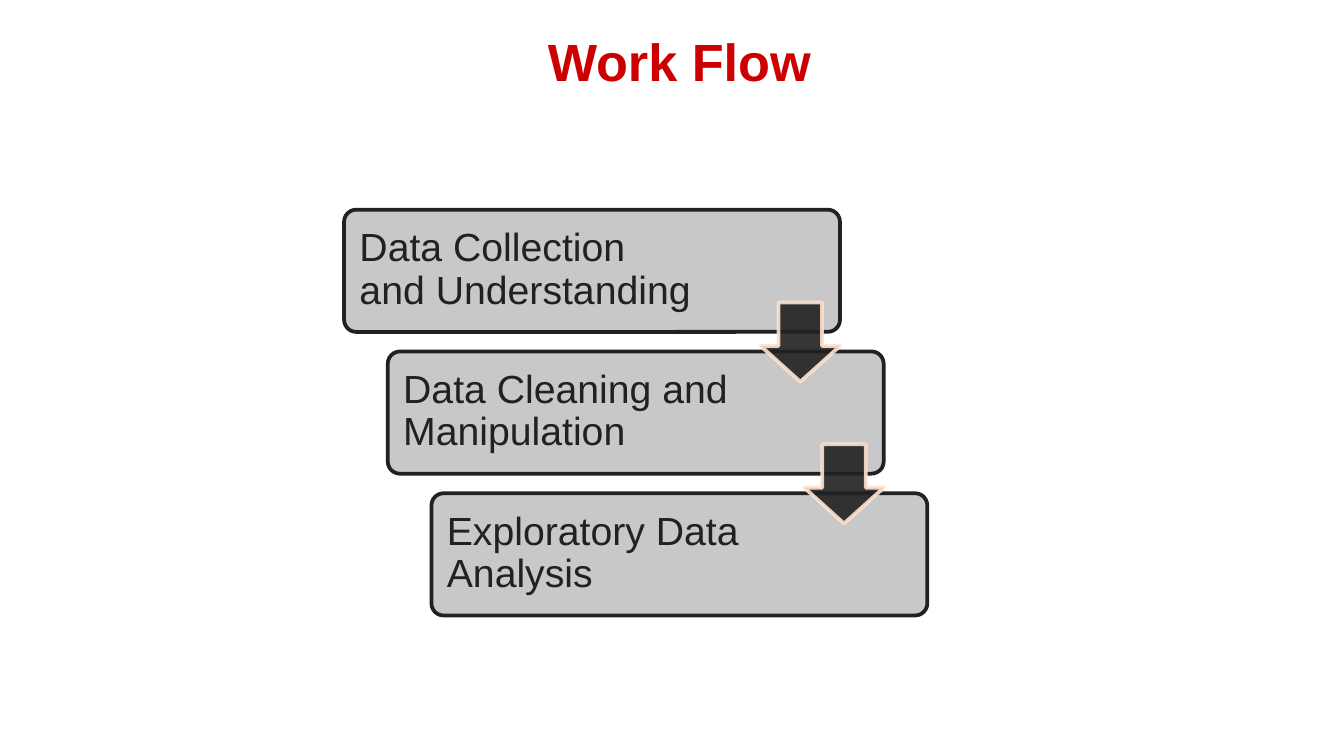
from dataclasses import dataclass

from lxml.etree import SubElement
from pptx import Presentation
from pptx.dml.color import RGBColor
from pptx.enum.shapes import MSO_SHAPE as Shape
from pptx.enum.text import MSO_ANCHOR as Anchor, PP_ALIGN as Align
from pptx.oxml.ns import qn
from pptx.util import Pt

EMU_PER_PX = 4572


@dataclass(frozen=True)
class Theme:
    font: str = "Arial"
    heading: str = "CC0000"
    ink: str = "212121"
    panel: str = "C8C8C8"
    arrow_edge: str = "FFE2CF"
    heading_size: int = 28
    step_size: int = 21
    line_width: int = 2
    arrow_opacity: int = 90


def px(*lengths):
    return [length * EMU_PER_PX for length in lengths]


class WorkflowSlide:
    def __init__(self, deck, theme):
        self.theme = theme
        self.slide = deck.slides.add_slide(deck.slide_layouts[5])
        self.diagram = self.slide.shapes.add_group_shape()

    def set_words(self, frame, words, size, color, inset, anchor, align, bold=False):
        frame.text = words
        frame.word_wrap = True
        frame.vertical_anchor = anchor
        (frame.margin_left, frame.margin_top,
         frame.margin_right, frame.margin_bottom) = px(*[inset] * 4)
        paragraph = frame.paragraphs[0]
        paragraph.alignment = align
        for run in paragraph.runs:
            run.font.name = self.theme.font
            run.font.size = Pt(size)
            run.font.bold = bold
            run.font.color.rgb = RGBColor.from_string(color)
        return paragraph

    def heading(self, words, left, top, width, height):
        title = self.slide.shapes.title
        title.left, title.top, title.width, title.height = px(left, top, width, height)
        self.set_words(title.text_frame, words, self.theme.heading_size,
                       self.theme.heading, 20, Anchor.TOP, Align.CENTER, True)

    def block(self, preset, box, adjustments, fill, edge, opacity=100):
        block = self.diagram.shapes.add_shape(preset, *px(*box))
        block.shadow.inherit = False
        for index, value in enumerate(adjustments):
            block.adjustments[index] = value
        block.line.width = Pt(self.theme.line_width)
        for paint, color in ((block.fill, fill), (block.line.fill, edge)):
            paint.solid()
            paint.fore_color.rgb = RGBColor.from_string(color)
        if opacity < 100:
            for color in block._element.spPr.iter(qn("a:srgbClr")):
                SubElement(color, qn("a:alpha"), val=str(opacity * 1000))

    def step(self, words, left, top):
        self.block(Shape.ROUNDED_RECTANGLE, (left, top, 738, 182), [0.1],
                   self.theme.panel, self.theme.ink)
        label = self.diagram.shapes.add_textbox(*px(left + 5, top + 5, 543, 170))
        paragraph = self.set_words(label.text_frame, words, self.theme.step_size,
                                   self.theme.ink, 18, Anchor.MIDDLE, Align.LEFT)
        paragraph.line_spacing = 0.9

    def arrow(self, left, top):
        self.block(Shape.DOWN_ARROW, (left, top, 118, 118), [0.55, 0.45],
                   self.theme.ink, self.theme.arrow_edge, self.theme.arrow_opacity)


def main():
    deck = Presentation()
    deck.slide_width, deck.slide_height = px(2000, 1125)
    page = WorkflowSlide(deck, Theme())
    page.heading(" Work Flow", 68, 24, 1864, 126)

    steps = [
        "Data Collection and Understanding",
        "Data Cleaning and Manipulation",
        "Exploratory Data Analysis",
    ]
    corners = [(512 + 65 * i, 312 + 211 * i) for i in range(len(steps))]
    for words, (left, top) in zip(steps, corners):
        page.step(words, left, top)
    for left, top in corners[:-1]:
        page.arrow(left + 620, top + 138)

    deck.save("out.pptx")


if __name__ == "__main__":
    main()
